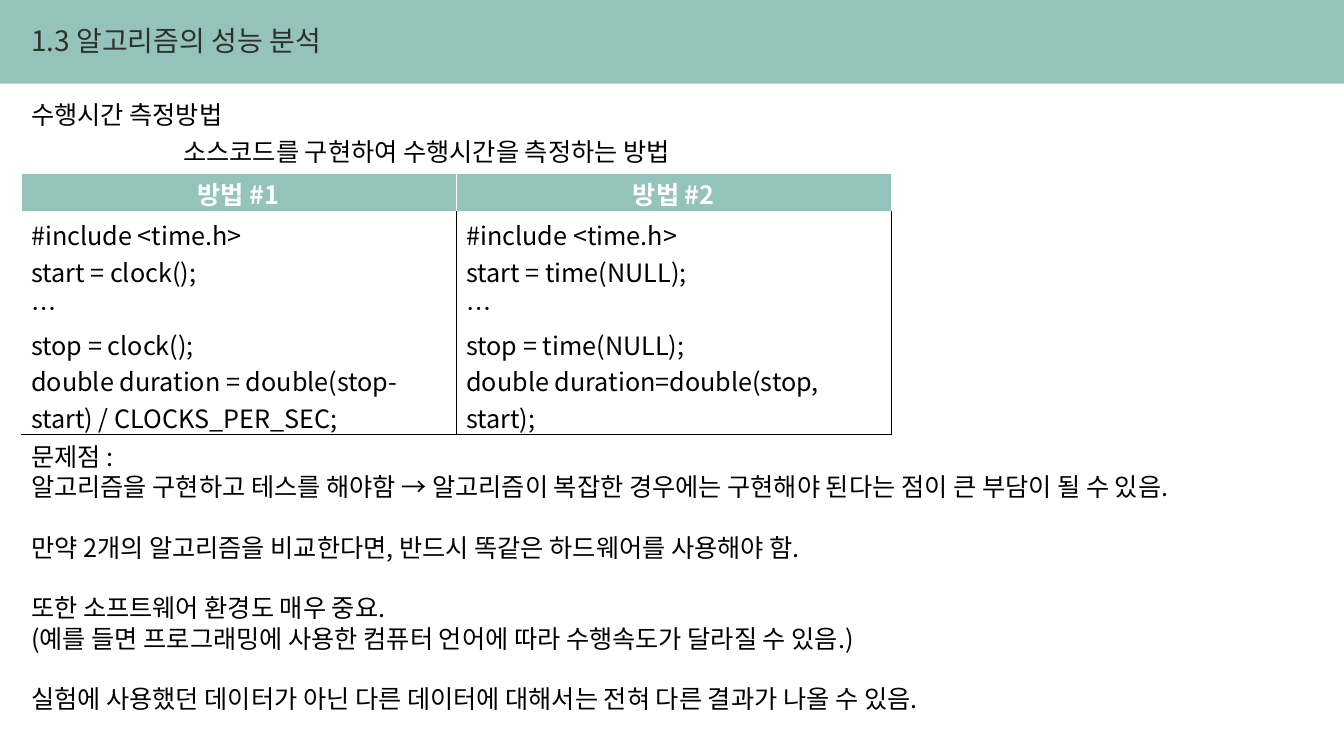
from pptx import Presentation
from pptx.dml.color import RGBColor
from pptx.enum.shapes import MSO_SHAPE
from pptx.enum.text import PP_ALIGN
from pptx.oxml.ns import qn
from pptx.util import Inches, Pt
from lxml.etree import SubElement

FONT = "Noto Sans CJK KR"
COLORS = {"mint": "94C3BB", "white": "FFFFFF", "black": "000000", "title": "30302A"}
METHODS = {
    "방법 #1": [
        "#include <time.h>",
        "start = clock();",
        "…",
        "stop = clock();",
        "double duration = double(stop-start) / CLOCKS_PER_SEC;",
    ],
    "방법 #2": [
        "#include <time.h>",
        "start = time(NULL);",
        "…",
        "stop = time(NULL);",
        "double duration=double(stop, start);",
    ],
}
PROBLEMS = [
    ["문제점 :",
     "알고리즘을 구현하고 테스를 해야함 → 알고리즘이 복잡한 경우에는 구현해야 된다는 점이 큰 부담이 될 수 있음."],
    ["만약 2개의 알고리즘을 비교한다면, 반드시 똑같은 하드웨어를 사용해야 함."],
    ["또한 소프트웨어 환경도 매우 중요.",
     "(예를 들면 프로그래밍에 사용한 컴퓨터 언어에 따라 수행속도가 달라질 수 있음.)"],
    ["실험에 사용했던 데이터가 아닌 다른 데이터에 대해서는 전혀 다른 결과가 나올 수 있음."],
]


def color(name):
    return RGBColor.from_string(COLORS[name])


def paint(fill, name):
    fill.solid()
    fill.fore_color.rgb = color(name)


def write(para, text, size=18, ink="black", bold=False, align=PP_ALIGN.LEFT, leading=None, before=0):
    para.alignment = align
    para.space_before = Pt(before)
    if leading:
        para.line_spacing = Pt(leading)
    span = para.add_run()
    span.text = text
    span.font.name = FONT
    span.font.size = Pt(size)
    span.font.bold = bold
    span.font.color.rgb = color(ink)
    SubElement(span.font._element, qn("a:ea"), typeface=FONT)


def next_para(frame, index):
    return frame.add_paragraph() if index else frame.paragraphs[0]


def add_text(page, left, top, width, height, groups, size=18, ink="black"):
    box = page.shapes.add_textbox(Inches(left), Inches(top), Inches(width), Inches(height))
    frame = box.text_frame
    frame.word_wrap = True
    leading = size * 1.2
    lines = [(text, leading if group and not place else 0)
             for group, texts in enumerate(groups) for place, text in enumerate(texts)]
    for index, (text, before) in enumerate(lines):
        write(next_para(frame, index), text, size=size, ink=ink, leading=leading, before=before)


def add_background(page, top, width, height):
    paint(page.background.fill, "mint")
    panel = page.shapes.add_shape(
        MSO_SHAPE.RECTANGLE, 0, Inches(top), Inches(width), Inches(height))
    panel.shadow.inherit = False
    paint(panel.fill, "white")
    panel.line.fill.background()


def set_borders(cell, **sides):
    properties = cell._tc.get_or_add_tcPr()
    for index, (side, (name, points)) in enumerate(sides.items()):
        line = properties.makeelement(qn(f"a:ln{side}"), {"w": str(Pt(points))})
        fill = SubElement(line, qn("a:solidFill"))
        SubElement(fill, qn("a:srgbClr"), val=COLORS[name])
        properties.insert(index, line)


def add_methods(page, left, top, width, heights):
    table = page.shapes.add_table(
        2, len(METHODS), Inches(left), Inches(top), Inches(width), Inches(sum(heights))).table
    for row, height in zip(table.rows, heights):
        row.height = Inches(height)
    white, black = ("white", 1), ("black", 1)
    for column, (heading, code) in enumerate(METHODS.items()):
        header, body = table.cell(0, column), table.cell(1, column)
        header.margin_top, body.margin_top = Inches(0.02), Inches(0.05)
        header.margin_bottom = body.margin_bottom = 0
        paint(header.fill, "mint")
        paint(body.fill, "white")
        set_borders(header, L=white, R=white, T=white, B=white)
        set_borders(body, L=black if column else white, R=black, T=white, B=black)
        write(header.text_frame.paragraphs[0], heading, ink="white", bold=True,
              align=PP_ALIGN.CENTER)
        for index, text in enumerate(code):
            write(next_para(body.text_frame, index), text)


def main():
    deck = Presentation()
    deck.slide_width, deck.slide_height = Inches(13.33), Inches(7.5)
    page = deck.slides.add_slide(deck.slide_layouts[6])
    add_background(page, 0.83, 13.33, 6.67)
    add_text(page, 0.21, 0.18, 4.44, 0.44, [["1.3 알고리즘의 성능 분석"]], size=20, ink="title")
    add_text(page, 0.21, 0.94, 4.14, 0.4, [["수행시간 측정방법"]])
    add_methods(page, 0.21, 1.72, 8.63, [0.38, 2.21])
    add_text(page, 1.72, 1.3, 7.86, 0.4, [["소스코드를 구현하여 수행시간을 측정하는 방법"]])
    add_text(page, 0.21, 4.33, 13.03, 2.83, PROBLEMS)
    deck.save("out.pptx")


if __name__ == "__main__":
    main()
